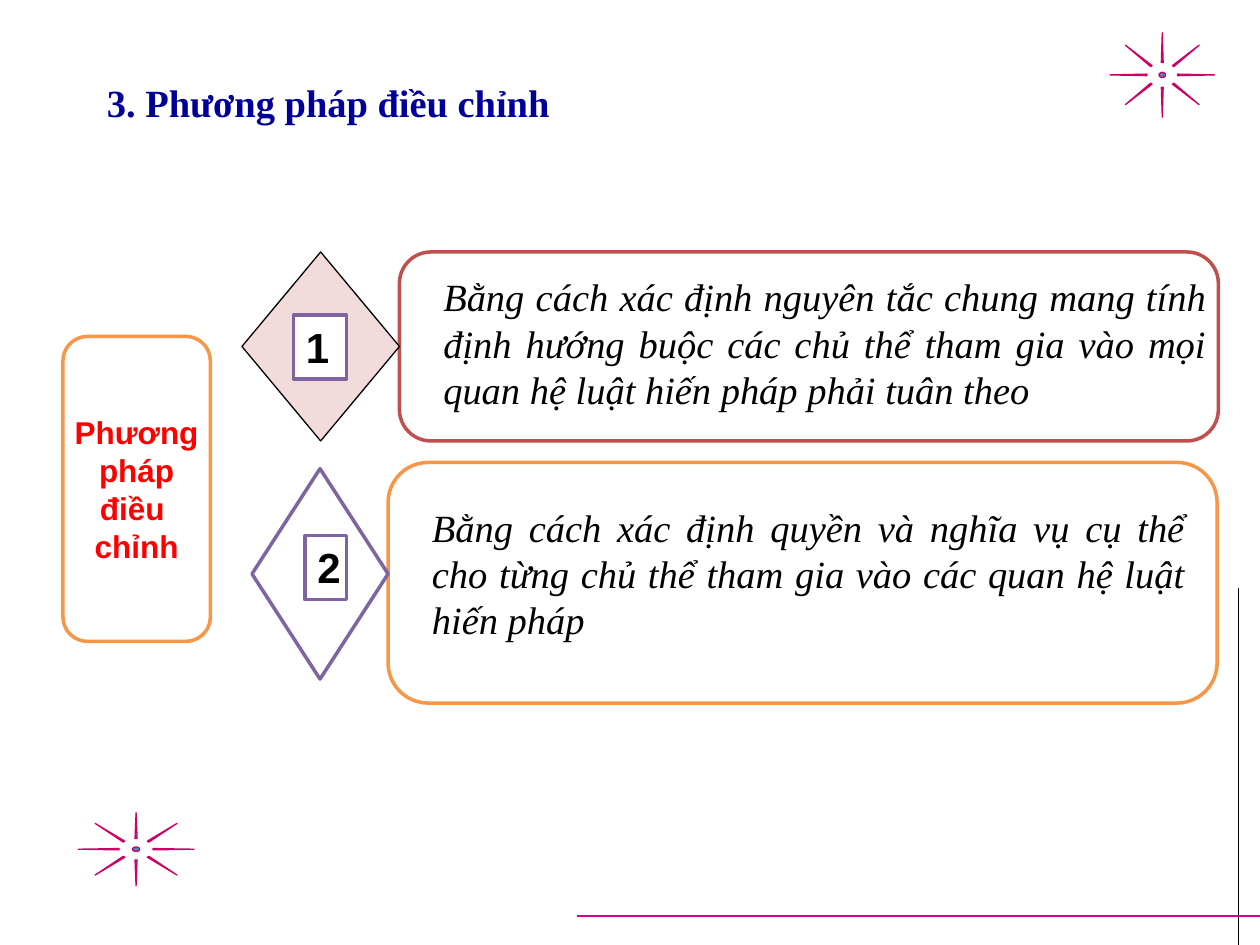
from lxml.etree import SubElement
from pptx import Presentation
from pptx.dml.color import RGBColor
from pptx.enum.shapes import MSO_CONNECTOR, MSO_SHAPE
from pptx.enum.text import MSO_ANCHOR, PP_ALIGN
from pptx.oxml.ns import qn
from pptx.util import Inches, Pt

ORANGE, RED, PURPLE = "F79646", "C0504D", "8064A2"
WHITE, BLACK, MAGENTA = "FFFFFF", "000000", "CC0066"
SERIF, SANS = "Times New Roman", "Arial"


def color(hex_code):
    return RGBColor.from_string(hex_code)


class SlideBuilder:
    def __init__(self, slide):
        self.slide = slide

    def shape(self, kind, box, fill, outline, weight=2):
        shape = self.slide.shapes.add_shape(kind, *map(Inches, box))
        shape.shadow.inherit = False
        shape.fill.solid()
        shape.fill.fore_color.rgb = color(fill)
        shape.line.color.rgb = color(outline)
        shape.line.width = Pt(weight)
        return shape

    def sun(self, box):
        sun = self.shape(MSO_SHAPE.SUN, box, "4F81BD", MAGENTA, 0.75)
        sun.adjustments[0] = 0.469

    def panel(self, box, outline):
        return self.shape(MSO_SHAPE.FLOWCHART_ALTERNATE_PROCESS, box, WHITE, outline)

    def diamond(self, box, fill, outline, weight):
        self.shape(MSO_SHAPE.FLOWCHART_DECISION, box, fill, outline, weight)

    def number(self, box, digit):
        badge = self.shape(MSO_SHAPE.RECTANGLE, box, WHITE, PURPLE)
        self.set_text(badge, digit, SANS, 24, BLACK, bold=True)

    def text(self, box, wording, size, hex_code, **style):
        label = self.slide.shapes.add_textbox(*map(Inches, box))
        self.set_text(label, wording, SERIF, size, hex_code, **style)

    def set_text(self, holder, wording, font, size, hex_code, align=PP_ALIGN.LEFT,
                 anchor=MSO_ANCHOR.TOP, wrap=True, bold=False, italic=False):
        frame = holder.text_frame
        frame.text = wording
        frame.word_wrap = wrap
        frame.vertical_anchor = anchor
        for paragraph in frame.paragraphs:
            paragraph.alignment = align
            for run in paragraph.runs:
                run.font.name = font
                run.font.size = Pt(size)
                run.font.bold = bold
                run.font.italic = italic
                run.font.color.rgb = color(hex_code)

    def line(self, start, end, hex_code):
        line = self.slide.shapes.add_connector(
            MSO_CONNECTOR.STRAIGHT, *map(Inches, start + end))
        line.line.color.rgb = color(hex_code)
        line.line.width = Pt(0.75)
        SubElement(line._element.spPr, qn("a:effectLst"))


def main():
    presentation = Presentation()
    presentation.slide_width = Inches(10)
    presentation.slide_height = Inches(7.5)
    builder = SlideBuilder(presentation.slides.add_slide(presentation.slide_layouts[6]))

    builder.sun((8.81, 0.26, 0.83, 0.67))
    builder.sun((0.62, 6.45, 0.92, 0.58))
    builder.line((9.83, 4.67), (9.83, 7.5), BLACK)
    builder.line((4.58, 7.27), (10, 7.27), "D60093")

    builder.text((0.75, 0.58, 4.25, 0.47), "3. Phương pháp điều chỉnh",
                 22, "000099", bold=True)

    topic = builder.panel((0.5, 2.67, 1.17, 2.42), ORANGE)
    builder.set_text(topic, "Phương\npháp\nđiều \nchỉnh", SANS, 18, "FF0000",
                     align=PP_ALIGN.CENTER, anchor=MSO_ANCHOR.MIDDLE,
                     wrap=False, bold=True)

    methods = [
        ((3.17, 2, 6.5, 1.5), RED,
         (1.92, 2, 1.25, 1.5), "F2DCDB", BLACK, 0.75,
         (2.33, 2.5, 0.42, 0.51), (3.42, 2.12, 6.25, 1.21),
         "Bằng cách xác định nguyên tắc chung mang tính định hướng buộc "
         "các chủ thể tham gia vào mọi quan hệ luật hiến pháp phải tuân theo"),
        ((3.08, 3.67, 6.58, 1.91), ORANGE,
         (2, 3.72, 1.08, 1.67), WHITE, PURPLE, 2,
         (2.42, 4.25, 0.33, 0.51), (3.33, 3.95, 6.17, 1.21),
         "Bằng cách xác định quyền và nghĩa vụ cụ thể cho từng chủ thể "
         "tham gia vào các quan hệ luật hiến pháp"),
    ]
    for number, method in enumerate(methods, start=1):
        (panel_box, panel_outline, diamond_box, diamond_fill, diamond_outline,
         diamond_weight, number_box, text_box, wording) = method
        builder.panel(panel_box, panel_outline)
        builder.diamond(diamond_box, diamond_fill, diamond_outline, diamond_weight)
        builder.number(number_box, str(number))
        builder.text(text_box, wording, 22, BLACK,
                     align=PP_ALIGN.JUSTIFY, italic=True)

    presentation.save("out.pptx")


if __name__ == "__main__":
    main()
